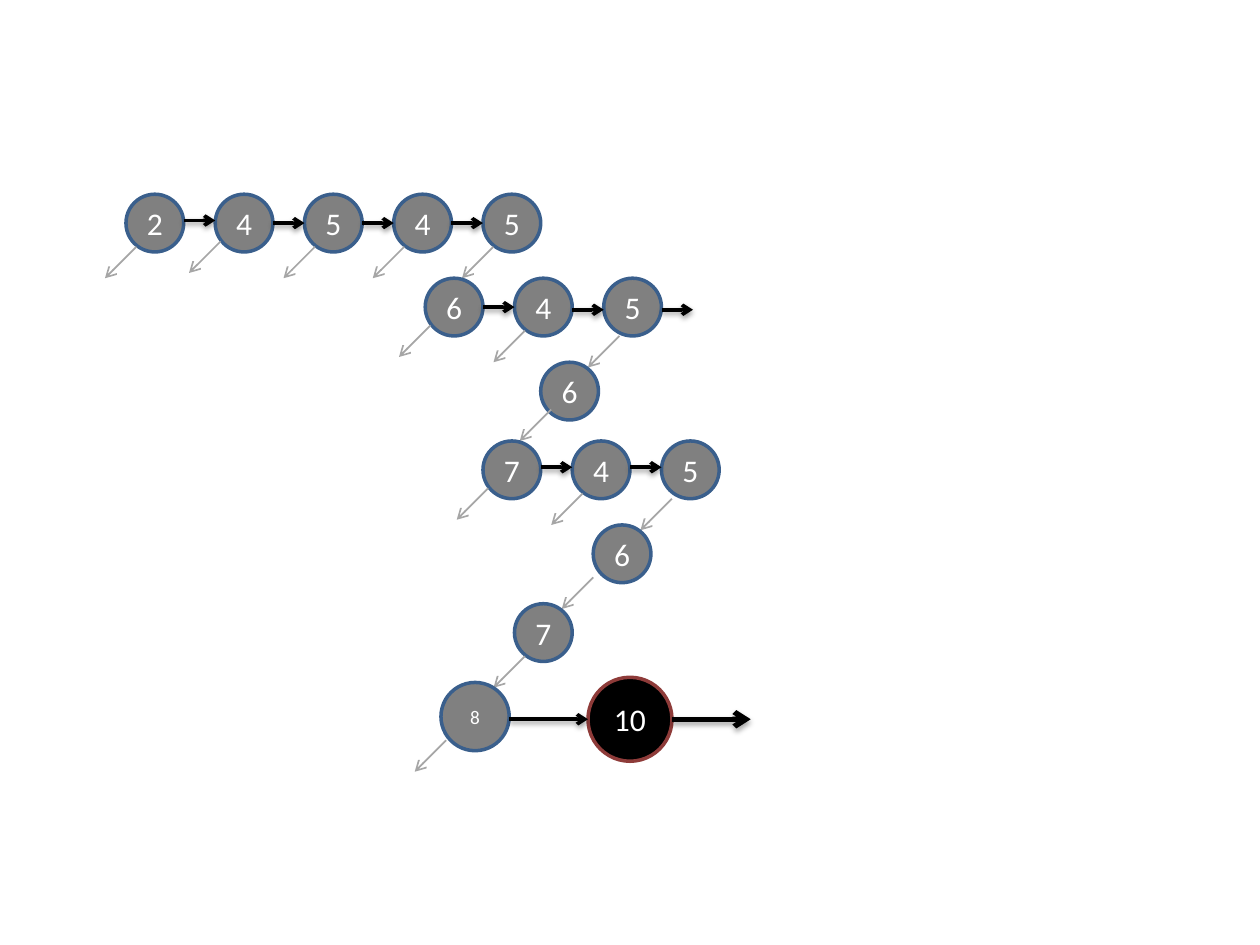
from lxml import etree
from pptx import Presentation
from pptx.dml.color import RGBColor
from pptx.enum.shapes import MSO_CONNECTOR, MSO_SHAPE
from pptx.enum.text import MSO_ANCHOR, PP_ALIGN
from pptx.oxml.ns import qn
from pptx.util import Inches, Pt

ELLIPSE = MSO_SHAPE.OVAL
STRAIGHT = MSO_CONNECTOR.STRAIGHT
MIDDLE = MSO_ANCHOR.MIDDLE
CENTER = PP_ALIGN.CENTER

GREY = RGBColor(0x80, 0x80, 0x80)
LIGHT_GREY = RGBColor(0xA6, 0xA6, 0xA6)
BLUE = RGBColor(0x3A, 0x5F, 0x8C)
RED = RGBColor(0x8E, 0x3B, 0x39)
BLACK = RGBColor(0, 0, 0)
WHITE = RGBColor(0xFF, 0xFF, 0xFF)

CELLS_PER_INCH = 24
NODE_SIZE = 11
GAP = 6

# Left, top, values, heights of the forward arrows, branch offsets per node.
LEVELS = [
    (24, 37, [2, 4, 5, 4, 5], [42, 42.5, 42.5, 42.5],
     [(2, 10), (1, 9), (2, 10), (2, 10), (2, 10)]),
    (81, 53, [6, 4, 5], [58.5, 59, 59], [(1, 9), (2, 10), (3, 11)]),
    (103, 69, [6], [], [(2, 9)]),
    (92, 84, [7, 4, 5], [89, 89], [(1, 9), (2, 10), (2, 11)]),
    (113, 100, [6], [], [(0, 10)]),
    (98, 115, [7], [], [(2, 10)]),
]


def grid(cells):
    """Convert grid cells to a slide length."""
    return Inches(cells / CELLS_PER_INCH)


def add_node(slide, left, top, value, size=NODE_SIZE, fill=GREY, outline=BLUE, points=18):
    """Draw a numbered circle."""
    node = slide.shapes.add_shape(ELLIPSE, grid(left), grid(top), grid(size), grid(size))
    node.shadow.inherit = False
    node.fill.solid()
    node.fill.fore_color.rgb = fill
    node.line.color.rgb = outline
    node.line.width = Pt(2)
    frame = node.text_frame
    frame.margin_left = frame.margin_right = 0
    frame.vertical_anchor = MIDDLE
    label = frame.paragraphs[0]
    label.alignment = CENTER
    run = label.add_run()
    run.text = str(value)
    run.font.name = "Calibri"
    run.font.size = Pt(points)
    run.font.color.rgb = WHITE


def add_arrow(slide, start, end, color, width):
    """Draw an open-headed arrow and return its empty effect list."""
    arrow = slide.shapes.add_connector(STRAIGHT, *map(grid, (*start, *end)))
    arrow.line.color.rgb = color
    arrow.line.width = Pt(width)
    etree.SubElement(arrow.line._get_or_add_ln(), qn("a:tailEnd"), type="arrow")
    return etree.SubElement(arrow._element.spPr, qn("a:effectLst"))


def add_branch(slide, left, top):
    """Draw a thin arrow running down to the left."""
    add_arrow(slide, (left, top), (left - GAP, top + GAP), LIGHT_GREY, 1)


def add_forward(slide, left, top, length=GAP, width=2, opacity=38, drop=1.6):
    """Draw a shadowed arrow running right."""
    effects = add_arrow(slide, (left, top), (left + length, top), BLACK, width)
    shadow = etree.SubElement(
        effects, qn("a:outerShdw"), blurRad=str(Pt(3.1)), dist=str(Pt(drop)),
        dir="5400000", rotWithShape="0")
    shade = etree.SubElement(shadow, qn("a:srgbClr"), val=str(BLACK))
    etree.SubElement(shade, qn("a:alpha"), val=str(opacity * 1000))


def add_level(slide, left, top, values, arrow_heights, branches):
    """Draw a row of nodes with its forward arrows and branches."""
    lefts = [left + i * (NODE_SIZE + GAP) for i in range(len(values))]
    for node_left, value in zip(lefts, values):
        add_node(slide, node_left, top, value)
    for node_left, height in zip(lefts, arrow_heights):
        add_forward(slide, node_left + NODE_SIZE, height)
    for node_left, (across, down) in zip(lefts, branches):
        add_branch(slide, node_left + across, top + down)


def main():
    """Build the search tree slide."""
    deck = Presentation()
    deck.slide_width, deck.slide_height = Inches(10), Inches(7.5)
    slide = deck.slides.add_slide(deck.slide_layouts[6])
    for level in LEVELS:
        add_level(slide, *level)
    add_node(slide, 84, 130, 8, size=13, points=11)
    add_node(slide, 112, 129, 10, size=16, fill=BLACK, outline=RED)
    add_branch(slide, 85, 141)
    add_forward(slide, 97, 137, length=15)
    add_forward(slide, 128, 137, length=15, width=3, opacity=35, drop=1.8)
    deck.save("out.pptx")


main()
